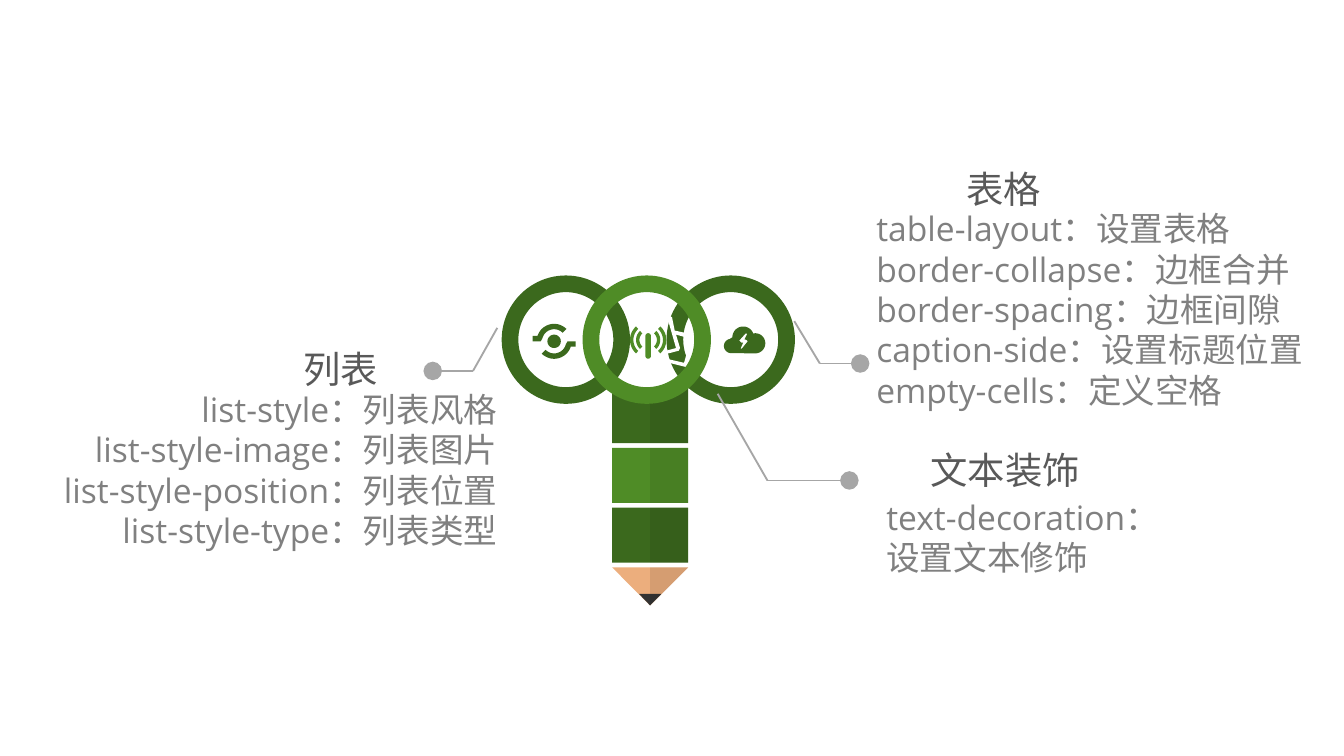
import math

from lxml import etree
from pptx import Presentation, util as u
from pptx.dml import color
from pptx.enum import shapes, text
from pptx.oxml import ns

DARK, LIGHT, GREY = "3B691D", "4F8C26", "A6A6A6"
SHADE = "0D0D0D"


def rgb(value):
    return color.RGBColor.from_string(value)


def arc(x, y, radius, start, end, steps=20):
    angles = [math.radians(start + (end - start) * i / steps) for i in range(steps + 1)]
    return [(x + radius * math.cos(a), y + radius * math.sin(a)) for a in angles]


def band(x, y, outer, inner, start, end):
    return arc(x, y, outer, start, end) + arc(x, y, inner, end, start)


class Canvas:
    heading_font, body_font = "Noto Sans CJK SC", "Open Sans"
    heading_color, body_color = "595959", "808080"
    columns = 100

    def __init__(self, presentation):
        self.slide = presentation.slides.add_slide(presentation.slide_layouts[6])
        self.cell = presentation.slide_width / self.columns

    def grid(self, *values):
        return [u.Emu(round(value * self.cell)) for value in values]

    def paint(self, shape, fill, alpha=None):
        shape.shadow.inherit = False
        shape.fill.solid()
        shape.fill.fore_color.rgb = rgb(fill)
        shape.line.fill.background()
        if alpha is not None:
            fill_color = shape._element.spPr.find(".//" + ns.qn("a:srgbClr"))
            etree.SubElement(fill_color, ns.qn("a:alpha"), val=str(alpha * 1000))
        return shape

    def preset(self, kind, box, fill, alpha=None):
        return self.paint(self.slide.shapes.add_shape(kind, *self.grid(*box)), fill, alpha)

    def ring(self, left, fill):
        shape = self.preset(shapes.MSO_SHAPE.DONUT, (left, 20.5, 9.55, 9.55), fill)
        shape.adjustments[0] = 0.13

    def outline(self, contours, fill, alpha=None):
        builder = self.slide.shapes.build_freeform(*self.grid(*contours[0][0]), scale=1.0)
        for index, contour in enumerate(contours):
            points = [self.grid(*point) for point in contour]
            if index:
                builder.move_to(*points[0])
            builder.add_line_segments(points[1:], close=True)
        self.paint(builder.convert_to_shape(), fill, alpha)

    def leader(self, *points):
        for index, (start, end) in enumerate(zip(points, points[1:])):
            connector = self.slide.shapes.add_connector(
                shapes.MSO_CONNECTOR.STRAIGHT, *self.grid(*start, *end))
            connector.line.color.rgb = rgb(GREY)
            connector.line.width = u.Pt(1)
            if index == len(points) - 2:
                line = connector._element.spPr.find(ns.qn("a:ln"))
                etree.SubElement(line, ns.qn("a:tailEnd"), type="oval", w="lg", len="lg")
            etree.SubElement(connector._element.spPr, ns.qn("a:effectLst"))

    def words(self, box, lines, size, font, fill, align):
        frame = self.slide.shapes.add_textbox(*self.grid(*box)).text_frame
        frame.word_wrap = True
        frame.text = "\n".join(lines)
        for paragraph in frame.paragraphs:
            paragraph.alignment = align
            for run in paragraph.runs:
                run.font.size = u.Pt(size)
                run.font.name = font
                run.font.color.rgb = rgb(fill)
        return frame

    def heading(self, box, label):
        frame = self.words(box, [label], 20, self.heading_font, self.heading_color,
                           text.PP_ALIGN.CENTER)
        frame.vertical_anchor = text.MSO_ANCHOR.MIDDLE

    def body(self, box, lines, align=text.PP_ALIGN.LEFT):
        frame = self.words(box, lines, 18, self.body_font, self.body_color, align)
        frame.margin_left = frame.margin_right = frame.margin_top = frame.margin_bottom = 0
        for paragraph in frame.paragraphs:
            paragraph.line_spacing = u.Pt(21.6)


presentation = Presentation()
presentation.slide_width = u.Inches(10)
presentation.slide_height = presentation.slide_width * 9 // 16
canvas = Canvas(presentation)

canvas.ring(49.6, DARK)
cloud = (arc(54.4, 25.75, 0.53, 90, 260) + arc(55.3, 25.1, 0.8, 180, 340)
         + arc(56.2, 25.55, 0.75, 270, 450))
bolt = [(55.5, 24.8), (55, 25.35), (55.15, 25.5), (55.3, 25.5), (55.1, 25.95),
        (55.2, 25.95), (55.65, 25.4), (55.55, 25.3), (55.4, 25.25), (55.6, 24.85)]
canvas.outline([cloud, bolt], DARK)

cards = [(51.6, 24.9), (50.2, 24.6), (50, 23.6), (49.8, 23.5), (48.1, 24), (47.9, 24.2),
         (48.6, 26.5), (48.7, 26.6), (49.4, 26.4), (49.3, 26.7), (49.4, 26.9),
         (51, 27.3), (51.2, 27.2), (51.7, 25.1)]
back_card = [(48.2, 24.2), (49.7, 23.8), (50.3, 25.9), (48.8, 26.3)]
front_card = [(50.9, 27), (49.6, 26.7), (49.7, 26.3), (50.5, 26.1), (50.6, 25.9),
              (50.3, 24.9), (51.4, 25.2)]
canvas.outline([cards, back_card, front_card], "FFFFFF")

canvas.leader((37, 24.4), (35.2, 27.6), (32.2, 27.6))
canvas.leader((53.4, 29.3), (57.1, 35.75), (63.2, 35.75))
canvas.leader((59.1, 23.9), (61, 27.05), (64, 27.05))

canvas.body((65.2, 15.5, 34.8, 15.1), [
    "table-layout：设置表格", "border-collapse：边框合并", "border-spacing：边框间隙",
    "caption-side：设置标题位置", "empty-cells：定义空格"])
canvas.heading((63.95, 11.85, 21.5, 4.4), "表格")
canvas.body((1.8, 28.95, 35.2, 12.1), [
    "list-style：列表风格", "list-style-image：列表图片",
    "list-style-position：列表位置", "list-style-type：列表类型"], text.PP_ALIGN.RIGHT)
canvas.heading((14.6, 25.25, 21.5, 4.4), "列表")
canvas.body((65.95, 36.95, 21.6, 6.1), ["text-decoration：设置文本修饰"])
canvas.heading((65.1, 32.75, 19.4, 4.4), "文本装饰")

left, middle, right = 45.55, 48.37, 51.2
for row, fill in enumerate((DARK, LIGHT, DARK)):
    top = 28.87 + 4.45 * row
    canvas.preset(shapes.MSO_SHAPE.RECTANGLE, (left, top, right - left, 4.1), fill)
    canvas.preset(shapes.MSO_SHAPE.RECTANGLE, (middle, top, right - middle, 4.1), SHADE, 10)
tip = (middle, 45.05)
canvas.outline([[tip, (left, 42.22), (right, 42.22)]], "ECAE7D")
canvas.outline([[tip, (47.55, 44.2), (49.2, 44.2)]], "333333")
canvas.outline([[tip, (right, 42.22), (middle, 42.22)]], SHADE, 10)

canvas.ring(37.33, DARK)
x, y = 41.23, 25.4
upper = (arc(x, y, 1.3, 198, 315) + arc(x, y, 0.9, 315, 194)
         + [(40.23, 25.4), (39.63, 25.4), (39.63, 25)])
lower = [(2 * x - px, 2 * y - py) for px, py in upper]
canvas.outline([upper, lower, arc(x, y, 0.5, 0, 360)], DARK)

canvas.ring(43.35, LIGHT)
x, y = 48.23, 25.3
waves = [band(x, y, radius, radius - 0.25, facing - 48, facing + 48)
         for facing in (0, 180) for radius in (1.35, 0.9)]
mast = arc(x, 25, 0.2, 180, 360) + arc(x, 26.5, 0.2, 0, 180)
canvas.outline(waves + [mast], LIGHT)

presentation.save("out.pptx")
